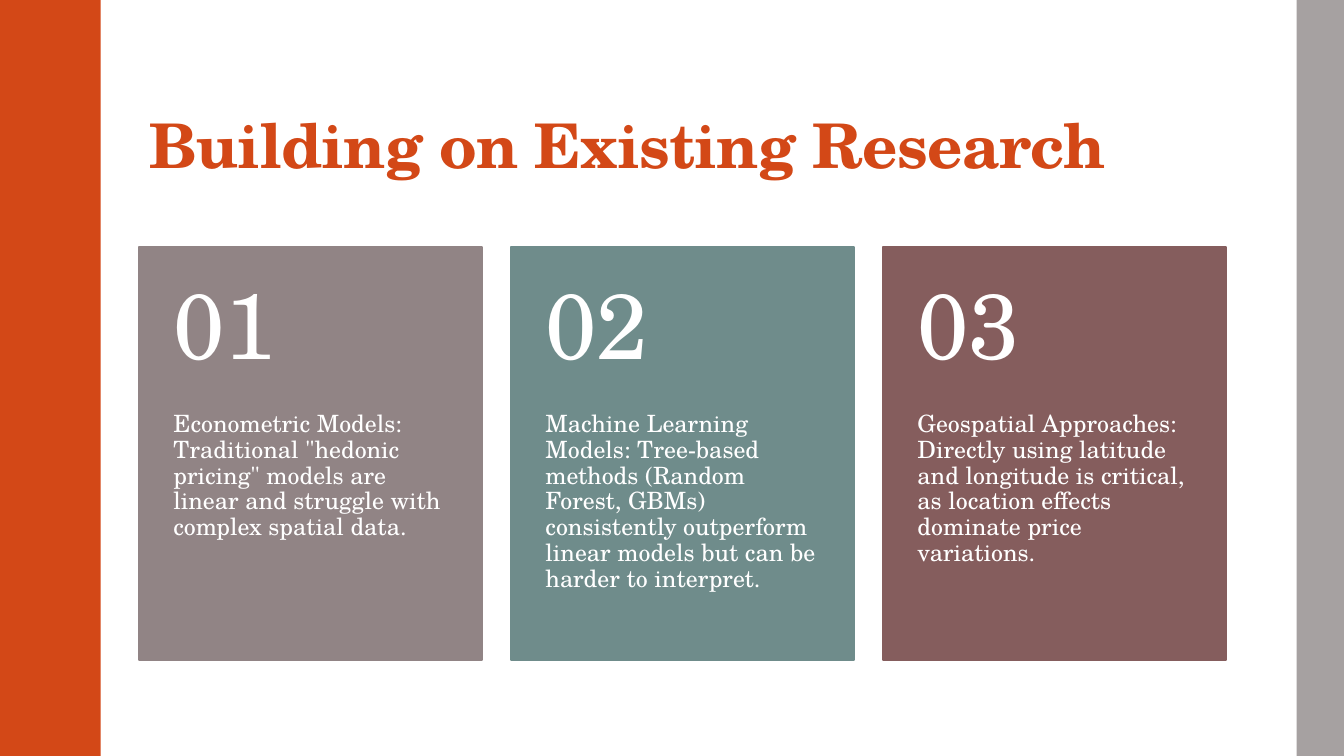
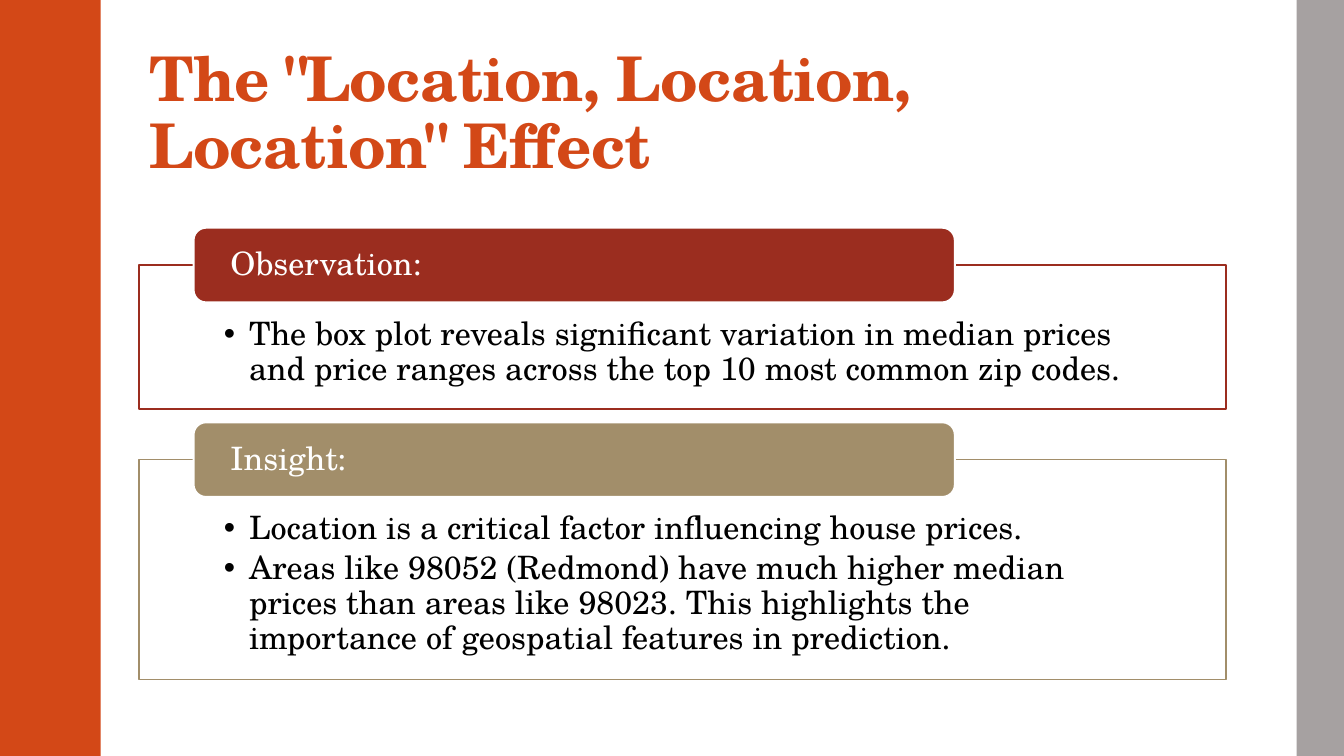
from dataclasses import dataclass
from typing import NamedTuple

from lxml import etree
from pptx import Presentation
from pptx.dml.color import RGBColor
from pptx.enum.shapes import MSO_SHAPE
from pptx.enum.text import MSO_ANCHOR, MSO_AUTO_SIZE, PP_ALIGN
from pptx.oxml.ns import qn
from pptx.util import Emu, Pt

RECTANGLE = MSO_SHAPE.RECTANGLE
ROUNDED = MSO_SHAPE.ROUNDED_RECTANGLE
TOP, MIDDLE, BOTTOM = MSO_ANCHOR.TOP, MSO_ANCHOR.MIDDLE, MSO_ANCHOR.BOTTOM
LEFT = PP_ALIGN.LEFT
NO_AUTOFIT = MSO_AUTO_SIZE.NONE
TITLE_ONLY_LAYOUT, TWO_LISTS_LAYOUT = 5, 3
EMU_PER_PX = 9144


@dataclass(frozen=True)
class Theme:
    font: str = "TeX Gyre Schola"
    accent: str = "D34817"
    edge: str = "A6A1A1"
    white: str = "FFFFFF"
    black: str = "000000"
    taupe: str = "918485"
    teal: str = "6F8C8B"
    plum: str = "855D5D"
    brick: str = "9B2D1F"
    khaki: str = "A28E6A"
    title_size: int = 44
    number_size: int = 66
    card_size: int = 17
    list_size: int = 23
    outline: float = 1.1
    label_outline: float = 1.35
    line_spacing: float = 0.9


THEME = Theme()


class Box(NamedTuple):
    left: int
    top: int
    width: int
    height: int


class Insets(NamedTuple):
    left: int
    top: int
    right: int
    bottom: int


class TextStyle(NamedTuple):
    size: int
    color: str
    anchor: MSO_ANCHOR
    insets: Insets
    bold: bool = False
    tracking: int = 0
    bullet_indent: int = 0
    space_after: float = 0


@dataclass(frozen=True)
class Card:
    number: str
    text: str
    color: str


@dataclass(frozen=True)
class Finding:
    label: str
    points: tuple[str, ...]
    color: str
    height: int


SLIDE = Box(0, 0, 1333, 750)
TITLE = Box(138, 32, 1078, 153)
LEFT_BAND = Box(0, 0, 100, SLIDE.height)
RIGHT_BAND = Box(1286, 0, SLIDE.width - 1286, SLIDE.height)

CARD_TOP, CARD_WIDTH, CARD_HEIGHT, NUMBER_HEIGHT = 245, 340, 410, 164
FINDING_TOP, FINDING_GAP = 263, 50
LABEL_INDENT, LABEL_WIDTH, LABEL_HEIGHT = 54, 755, 74

TITLE_STYLE = TextStyle(THEME.title_size, THEME.accent, BOTTOM,
                        Insets(10, 3, 10, 5), bold=True, tracking=-50)
NUMBER_STYLE = TextStyle(THEME.number_size, THEME.white, MIDDLE, Insets(34, 18, 34, 18))
CARD_STYLE = TextStyle(THEME.card_size, THEME.white, TOP,
                       Insets(34, NUMBER_HEIGHT, 34, 36))
LABEL_STYLE = TextStyle(THEME.list_size, THEME.white, MIDDLE, Insets(33, 0, 33, 0))
LIST_STYLE = TextStyle(THEME.list_size, THEME.black, TOP, Insets(84, 52, 84, 18),
                       bullet_indent=25, space_after=3.5)

CARDS = (
    Card("01", 'Econometric Models: Traditional "hedonic pricing" models are linear '
         "and struggle with complex spatial data.", THEME.taupe),
    Card("02", "Machine Learning Models: Tree-based methods (Random Forest, GBMs) "
         "consistently outperform linear models but can be harder to interpret.", THEME.teal),
    Card("03", "Geospatial Approaches: Directly using latitude and longitude is critical, "
         "as location effects dominate price variations.", THEME.plum),
)
FINDINGS = (
    Finding("Observation:",
            ("The box plot reveals significant variation in median prices and price ranges "
             "across the top 10 most common zip codes.",), THEME.brick, 143),
    Finding("Insight:",
            ("Location is a critical factor influencing house prices.",
             "Areas like 98052 (Redmond) have much higher median prices than areas like 98023. "
             "This highlights the importance of geospatial features in prediction."),
            THEME.khaki, 218),
)


def px(length: int) -> Emu:
    return Emu(length * EMU_PER_PX)


def apply(target, values: dict) -> None:
    for attribute, value in values.items():
        setattr(target, attribute, value)


def place(shape, box: Box) -> None:
    apply(shape, {side: px(length) for side, length in box._asdict().items()})


def paint(shape, fill: str, line: str = "", weight: float = 0) -> None:
    shape.fill.solid()
    shape.fill.fore_color.rgb = RGBColor.from_string(fill)
    if line:
        shape.line.color.rgb = RGBColor.from_string(line)
        shape.line.width = Pt(weight)
    else:
        shape.line.fill.background()


def add_bullet(paragraph, indent: int) -> None:
    properties = paragraph._p.get_or_add_pPr()
    properties.set("marL", str(px(indent)))
    properties.set("indent", str(px(-indent)))
    etree.SubElement(properties, qn("a:buChar")).set("char", "•")


def write(shape, texts: tuple[str, ...], style: TextStyle) -> None:
    frame = shape.text_frame
    apply(frame, {"word_wrap": True, "auto_size": NO_AUTOFIT,
                  "vertical_anchor": style.anchor})
    apply(frame, {f"margin_{side}": px(length)
                  for side, length in style.insets._asdict().items()})
    for index, text in enumerate(texts):
        paragraph = frame.add_paragraph() if index else frame.paragraphs[0]
        if style.bullet_indent:
            add_bullet(paragraph, style.bullet_indent)
        apply(paragraph, {"alignment": LEFT, "line_spacing": THEME.line_spacing,
                          "space_before": Pt(0), "space_after": Pt(style.space_after)})
        run = paragraph.add_run()
        run.text = text
        apply(run.font, {"name": THEME.font, "size": Pt(style.size), "bold": style.bold})
        run.font.color.rgb = RGBColor.from_string(style.color)
        if style.tracking:
            run._r.get_or_add_rPr().set("spc", str(style.tracking))


def add_block(slide, kind: MSO_SHAPE, box: Box, fill: str,
              line: str = "", weight: float = 0):
    block = slide.shapes.add_shape(kind, *map(px, box))
    block.shadow.inherit = False
    paint(block, fill, line, weight)
    return block


def add_framed_slide(deck, layout: int, title: str):
    slide = deck.slides.add_slide(deck.slide_layouts[layout])
    place(slide.shapes.title, TITLE)
    write(slide.shapes.title, (title,), TITLE_STYLE)
    for band, color in ((LEFT_BAND, THEME.accent), (RIGHT_BAND, THEME.edge)):
        add_block(slide, RECTANGLE, band, color)
    return slide


def draw_card(slide, card: Card, left: int) -> None:
    box = Box(left, CARD_TOP, CARD_WIDTH, CARD_HEIGHT)
    panel = add_block(slide, RECTANGLE, box, card.color, card.color, THEME.outline)
    write(panel, (card.text,), CARD_STYLE)
    number = slide.shapes.add_textbox(*map(px, box._replace(height=NUMBER_HEIGHT)))
    write(number, (card.number,), NUMBER_STYLE)


def draw_finding(slide, finding: Finding, points_body, top: int) -> None:
    place(points_body, Box(TITLE.left, top, TITLE.width, finding.height))
    paint(points_body, THEME.white, finding.color, THEME.outline)
    write(points_body, finding.points, LIST_STYLE)
    label_box = Box(TITLE.left + LABEL_INDENT, top - LABEL_HEIGHT // 2,
                    LABEL_WIDTH, LABEL_HEIGHT)
    label = add_block(slide, ROUNDED, label_box, finding.color,
                      THEME.white, THEME.label_outline)
    write(label, (finding.label,), LABEL_STYLE)


def build_research(deck) -> None:
    slide = add_framed_slide(deck, TITLE_ONLY_LAYOUT, "Building on Existing Research")
    pitch = (TITLE.width - CARD_WIDTH) // (len(CARDS) - 1)
    for index, card in enumerate(CARDS):
        draw_card(slide, card, TITLE.left + index * pitch)


def build_location(deck) -> None:
    slide = add_framed_slide(deck, TWO_LISTS_LAYOUT,
                             'The "Location, Location, Location" Effect')
    top = FINDING_TOP
    for index, finding in enumerate(FINDINGS, start=1):
        draw_finding(slide, finding, slide.placeholders[index], top)
        top += finding.height + FINDING_GAP


def main() -> None:
    deck = Presentation()
    apply(deck, {"slide_width": px(SLIDE.width), "slide_height": px(SLIDE.height)})
    build_research(deck)
    build_location(deck)
    deck.save("out.pptx")


if __name__ == "__main__":
    main()
